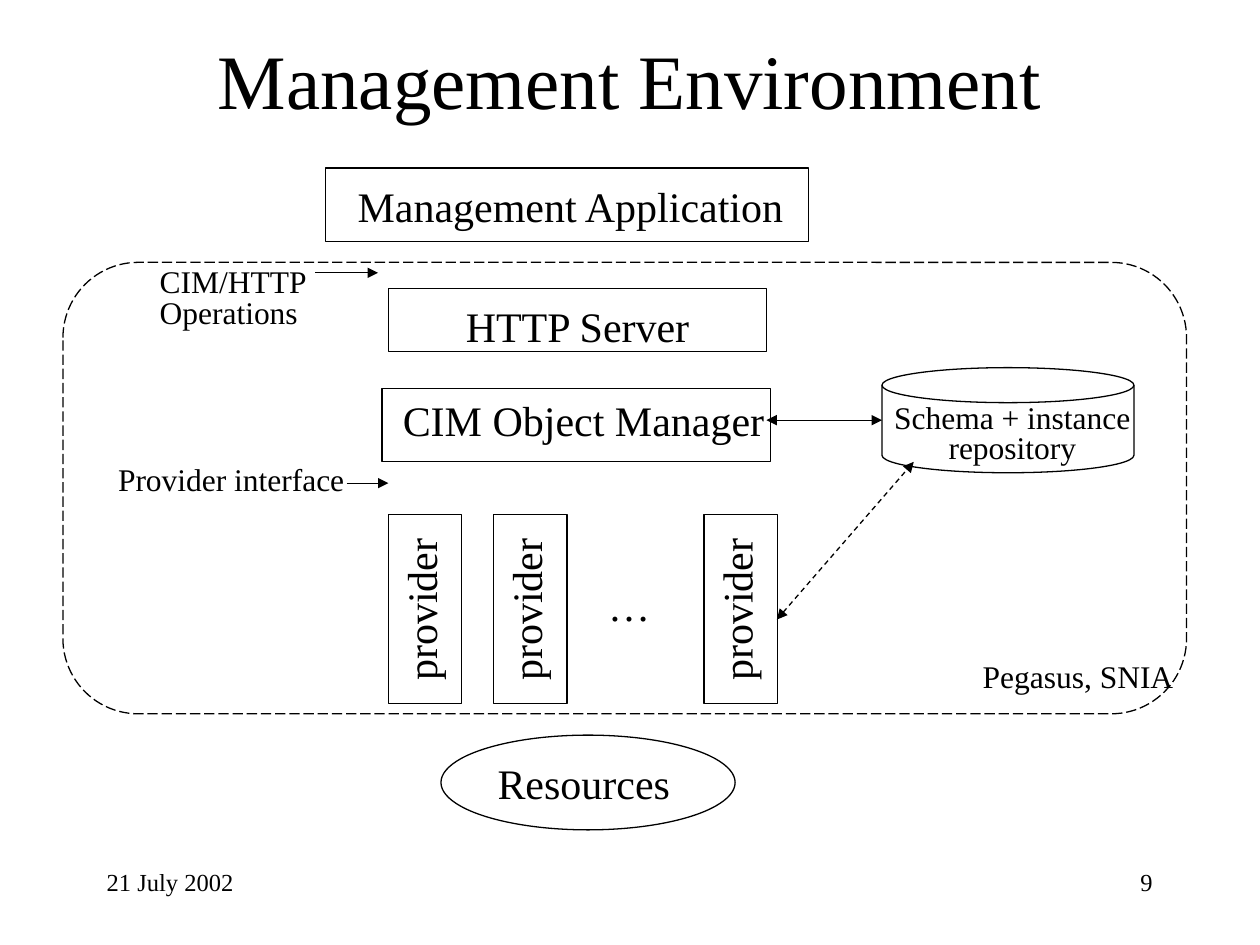
from dataclasses import dataclass

from lxml import etree
from pptx import Presentation
from pptx.dml.color import RGBColor
from pptx.enum.dml import MSO_LINE
from pptx.enum.shapes import MSO_CONNECTOR, MSO_SHAPE
from pptx.enum.text import MSO_ANCHOR, MSO_AUTO_SIZE, PP_ALIGN
from pptx.oxml.ns import qn
from pptx.util import Cm, Pt

RECT, OVAL = MSO_SHAPE.RECTANGLE, MSO_SHAPE.OVAL
DRUM = MSO_SHAPE.FLOWCHART_DIRECT_ACCESS_STORAGE
FRAME = MSO_SHAPE.FLOWCHART_ALTERNATE_PROCESS
STRAIGHT = MSO_CONNECTOR.STRAIGHT
DASH, LONG_DASH = MSO_LINE.DASH, MSO_LINE.LONG_DASH
LEFT, CENTER, RIGHT = PP_ALIGN.LEFT, PP_ALIGN.CENTER, PP_ALIGN.RIGHT
TOP, MIDDLE = MSO_ANCHOR.TOP, MSO_ANCHOR.MIDDLE
FIXED, GROW = MSO_AUTO_SIZE.NONE, MSO_AUTO_SIZE.SHAPE_TO_FIT_TEXT
FONT = "Times New Roman"
BLACK = "000000"


@dataclass
class Outline:
    kind: MSO_SHAPE
    x: float
    y: float
    w: float
    h: float
    rotation: int = 0
    dash: MSO_LINE | None = None


@dataclass
class Label:
    text: str
    x: float
    y: float
    w: float
    h: float = 1.27
    size: int = 24
    align: PP_ALIGN = LEFT
    anchor: MSO_ANCHOR = TOP
    spacing: float | None = None
    rotation: int = 0
    wrap: bool = False


@dataclass
class Arrow:
    x1: float
    y1: float
    x2: float
    y2: float
    both_ends: bool = False
    dash: MSO_LINE | None = None


def color(value: str) -> RGBColor:
    return RGBColor.from_string(value)


def style_line(line, dash: MSO_LINE | None) -> None:
    line.color.rgb = color(BLACK)
    line.width = Pt(0.75)
    if dash is not None:
        line.dash_style = dash


def draw_outline(s, o: Outline) -> None:
    sp = s.shapes.add_shape(o.kind, Cm(o.x), Cm(o.y), Cm(o.w), Cm(o.h))
    sp.rotation = o.rotation
    sp.shadow.inherit = False
    sp.fill.background()
    style_line(sp.line, o.dash)


def draw_label(s, b: Label) -> None:
    sp = s.shapes.add_textbox(Cm(b.x), Cm(b.y), Cm(b.w), Cm(b.h))
    sp.rotation = b.rotation
    tf = sp.text_frame
    tf.word_wrap = b.wrap
    tf.auto_size = FIXED if b.wrap else GROW
    tf.vertical_anchor = b.anchor
    tf.text = b.text
    for p in tf.paragraphs:
        p.alignment = b.align
        if b.spacing:
            p.line_spacing = b.spacing
        for r in p.runs:
            r.font.name = FONT
            r.font.size = Pt(b.size)
            r.font.color.rgb = color(BLACK)


def draw_arrow(s, a: Arrow) -> None:
    cn = s.shapes.add_connector(STRAIGHT, Cm(a.x1), Cm(a.y1), Cm(a.x2), Cm(a.y2))
    style_line(cn.line, a.dash)
    ln = cn.line._get_or_add_ln()
    for end in ("a:headEnd", "a:tailEnd") if a.both_ends else ("a:tailEnd",):
        etree.SubElement(ln, qn(end), type="triangle")
    etree.SubElement(cn._element.spPr, qn("a:effectLst"))


PROVIDER_X = [7.83 + 2.12 * column for column in (0, 1, 3)]

OUTLINES = [
    Outline(RECT, 6.56, 3.39, 9.74, 1.48),
    Outline(RECT, 7.83, 5.82, 7.62, 1.27),
    Outline(RECT, 7.7, 7.83, 7.83, 1.48),
    *[Outline(RECT, x, 10.37, 1.48, 3.81) for x in PROVIDER_X],
    Outline(OVAL, 8.89, 14.82, 5.93, 1.91),
    Outline(DRUM, 19.26, 5.93, 2.12, 5.08, rotation=270),
    Outline(FRAME, 1.27, 5.29, 22.65, 9.1, dash=LONG_DASH),
]

LABELS = [
    Label("Management Environment", 1.9, 0, 21.59, 3.18, 44, CENTER, MIDDLE, wrap=True),
    Label("Management Application", 6.96, 3.51, 9.12),
    Label("HTTP Server", 9.14, 5.93, 5.03),
    Label("CIM Object Manager", 7.87, 7.83, 7.8),
    *[Label("provider", x - 1.05, 11.64, 3.39, rotation=270) for x in PROVIDER_X],
    Label("…", 12.01, 11.56, 1.35),
    Label("Resources", 9.78, 15.14, 3.99),
    Label("Schema + instance\nrepository", 17.61, 8.05, 5.6, 1.48, 18, CENTER, spacing=0.8),
    Label("CIM/HTTP\nOperations", 2.97, 5.31, 3.8, 1.48, 18, spacing=0.8),
    Label("Provider interface", 2.13, 9.14, 5.2, 1.02, 18),
    Label("Pegasus, SNIA", 19.56, 13.13, 4.7, 1.02, 18),
    Label("21 July 2002", 1.9, 17.36, 5.29, size=14, wrap=True),
    Label("9", 18.2, 17.36, 5.29, size=14, align=RIGHT, wrap=True),
]

ARROWS = [
    Arrow(15.45, 8.47, 17.78, 8.47, both_ends=True),
    Arrow(15.66, 12.49, 18.42, 9.31, both_ends=True, dash=DASH),
    Arrow(6.35, 5.5, 7.62, 5.5),
    Arrow(6.99, 9.74, 7.83, 9.74),
]


def main() -> None:
    prs = Presentation()
    prs.slide_width, prs.slide_height = Cm(25.4), Cm(19.05)
    s = prs.slides.add_slide(prs.slide_layouts[6])
    for outline in OUTLINES:
        draw_outline(s, outline)
    for label in LABELS:
        draw_label(s, label)
    for arrow in ARROWS:
        draw_arrow(s, arrow)
    prs.save("out.pptx")


if __name__ == "__main__":
    main()
